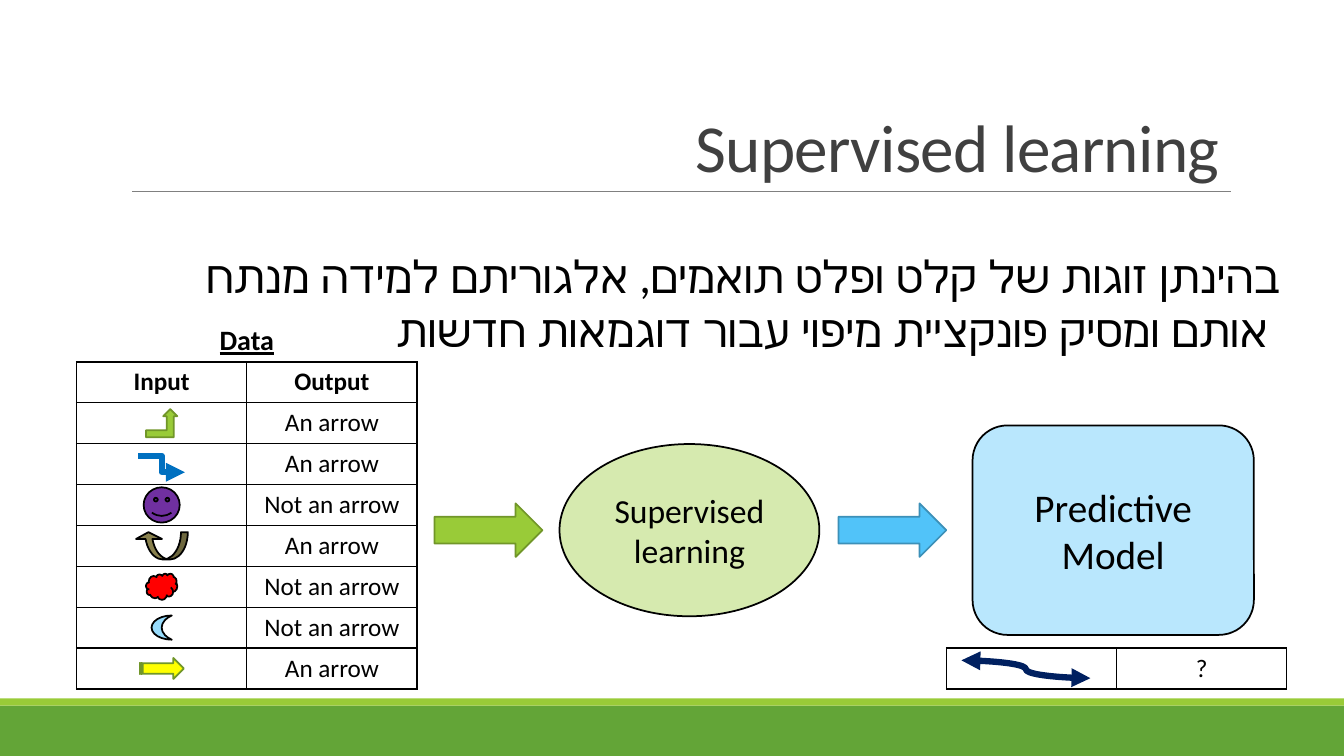
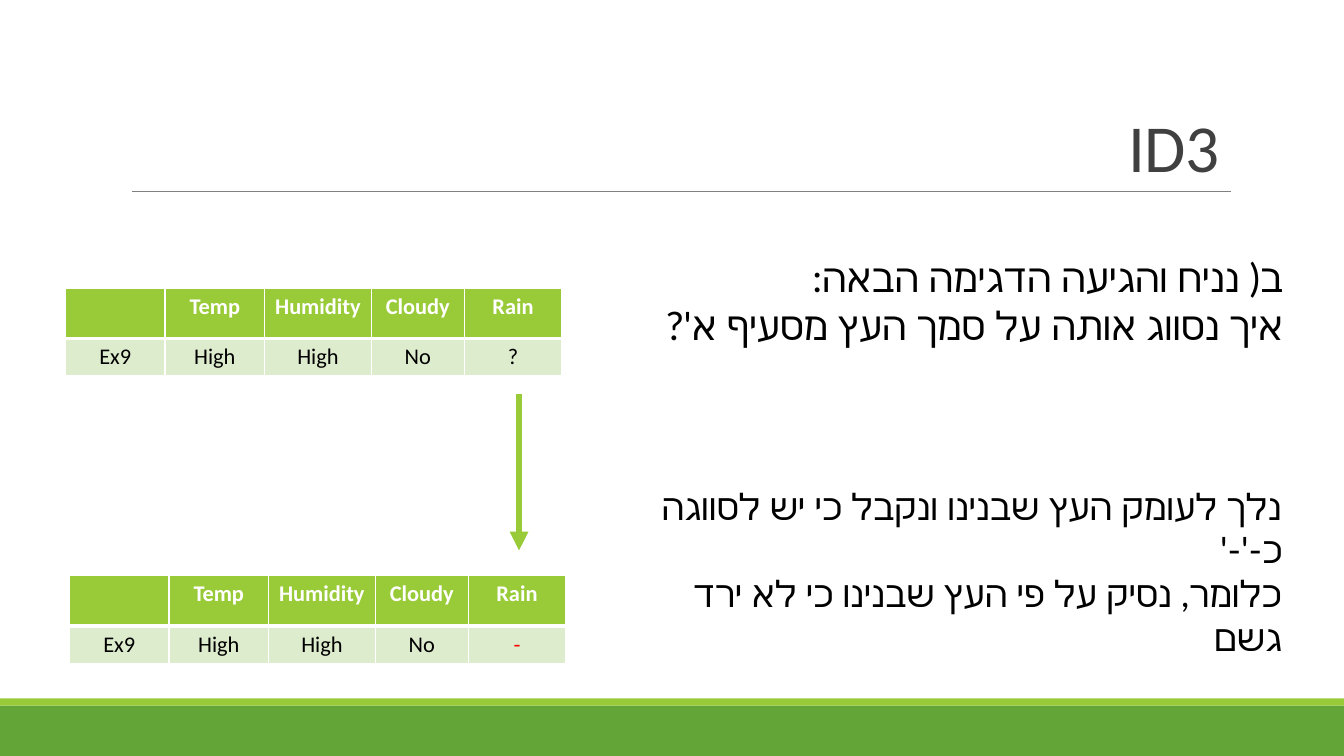
from dataclasses import dataclass
from lxml.etree import SubElement
from pptx import Presentation
from pptx.dml.color import RGBColor as Rgb
from pptx.enum.shapes import MSO_CONNECTOR as Link, MSO_SHAPE as Kind
from pptx.enum.text import MSO_ANCHOR as Anchor, MSO_AUTO_SIZE as Fit, PP_ALIGN as Align
from pptx.oxml.ns import qn
from pptx.util import Cm, Pt


@dataclass(frozen=True)
class Theme:
    black: str = "000000"
    white: str = "FFFFFF"
    title: str = "404040"
    rule: str = "808080"
    band: str = "63A537"
    lime: str = "99CB38"
    moss: str = "719629"
    pale: str = "D6EAAF"
    mint: str = "DEECCE"
    sky: str = "51C3F9"
    steel: str = "3C90B8"
    ice: str = "B9E7FD"
    moon: str = "97DBFB"
    blue: str = "0070C0"
    navy: str = "002060"
    plum: str = "7030A0"
    khaki: str = "89814E"
    red: str = "FF0000"
    gold: str = "FFFF00"
    main: str = "Calibri"
    body: str = "Lato"
    head: int = 48
    lead: int = 32
    ask: int = 28
    note: int = 26
    step: int = 24
    label: int = 20
    cell: int = 18
    small: int = 16
    thin: float = 1.25
    thick: float = 4.5


@dataclass(frozen=True)
class Box:
    x: float
    y: float
    w: float
    h: float

    def sub(self, dx, dy, w, h):
        return Box(self.x + dx, self.y + dy, w, h)

    def mid(self, w, h):
        return self.sub((self.w - w) / 2, (self.h - h) / 2, w, h)

    def dims(self):
        return [Cm(v) for v in (self.x, self.y, self.w, self.h)]


T = Theme()
WIDE, HIGH = 33.87, 19.05


def rgb(code):
    return Rgb.from_string(code)


def write(frame, text, size=T.cell, face=T.main, color=T.black, bold=False,
          under=False, align=Align.CENTER, rtl=False, lead=None, track=None,
          anchor=None):
    frame.word_wrap = True
    if anchor is not None:
        frame.vertical_anchor = anchor
    para = frame.paragraphs[0]
    para.alignment = align
    if lead:
        para.line_spacing = lead
    if rtl:
        para._p.get_or_add_pPr().set("rtl", "1")
    for i, line in enumerate(text.split("\n")):
        if i:
            para.add_line_break()
        run = para.add_run()
        run.text = line
        font = run.font
        font.size, font.bold, font.underline = Pt(size), bold, under
        font.color.rgb = rgb(color)
        font.name = face
        props = run._r.get_or_add_rPr()
        SubElement(props, qn("a:cs")).set("typeface", face)
        if track:
            props.set("spc", str(track))


def note(slide, box, text, **style):
    frame = slide.shapes.add_textbox(*box.dims()).text_frame
    write(frame, text, **style)
    frame.auto_size = Fit.SHAPE_TO_FIT_TEXT


def draw(slide, kind, box, fill, edge=None, text=None, **style):
    shape = slide.shapes.add_shape(kind, *box.dims())
    shape.shadow.inherit = False
    shape.fill.solid()
    shape.fill.fore_color.rgb = rgb(fill)
    if edge:
        shape.line.color.rgb = rgb(edge)
        shape.line.width = Pt(T.thin)
    else:
        shape.line.fill.background()
    if text:
        write(shape.text_frame, text, anchor=Anchor.MIDDLE, **style)
    return shape


def join(slide, kind, box, color, width=T.thick, tips=("tailEnd",)):
    ends = box.x, box.y, box.x + box.w, box.y + box.h
    line = slide.shapes.add_connector(kind, *[Cm(v) for v in ends])
    line.line.color.rgb = rgb(color)
    line.line.width = Pt(width)
    for tip in tips:
        SubElement(line.line._ln, qn("a:" + tip)).set("type", "triangle")
    SubElement(line.element.spPr, qn("a:effectLst"))
    return line


def edge(cell, color, **widths):
    props = cell._tc.get_or_add_tcPr()
    for side in "LRTB":
        line = SubElement(props, qn("a:ln" + side), w=str(Pt(widths.get(side, 1))))
        fill = SubElement(line, qn("a:solidFill"))
        SubElement(fill, qn("a:srgbClr")).set("val", color)


def grid(slide, x, y, cols, rows, head=True):
    box = Box(x, y, sum(cols), sum(rows))
    table = slide.shapes.add_table(len(rows), len(cols), *box.dims()).table
    table.first_row, table.horz_banding = head, False
    for col, w in zip(table.columns, cols):
        col.width = Cm(w)
    for row, h in zip(table.rows, rows):
        row.height = Cm(h)
    return table


def plain(slide, x, y, col, row, lines, head=True):
    table = grid(slide, x, y, [col] * 2, [row] * len(lines), head)
    for r, line in enumerate(lines):
        for c, text in enumerate(line):
            cell = table.cell(r, c)
            edge(cell, T.black)
            cell.fill.background()
            if text:
                write(cell.text_frame, text, bold=head and r == 0)


def case(slide, x, y, rain, tint):
    lines = (("", "Temp", "Humidity", "Cloudy", "Rain"),
             ("Ex9", "High", "High", "No", rain))
    table = grid(slide, x, y, (2.51, 2.51, 2.69, 2.34, 2.46), (1.27, 0.94))
    for r, line in enumerate(lines):
        for c, text in enumerate(line):
            cell = table.cell(r, c)
            edge(cell, T.white, **({"T": 3} if r else {"B": 3}))
            cell.fill.solid()
            cell.fill.fore_color.rgb = rgb(T.mint if r else T.lime)
            if text:
                ink = (tint if c == 4 else T.black) if r else T.white
                write(cell.text_frame, text, size=T.small, color=ink, bold=r == 0)


def dress(slide):
    parts = (
        draw(slide, Kind.RECTANGLE, Box(0, 17.78, WIDE, 1.27), T.band),
        draw(slide, Kind.RECTANGLE, Box(0, 17.6, WIDE, 0.18), T.lime),
        join(slide, Link.STRAIGHT, Box(3.33, 4.83, 27.68, 0), T.rule, 0.5, ()),
    )
    tree = slide.slide_layout.shapes.element
    for i, part in enumerate(parts):
        part.element.xpath(".//p:cNvPr")[0].set("id", str(20 + i))
        tree.insert(2 + i, part.element)


def page(deck, text):
    slide = deck.slides.add_slide(deck.slide_layouts[5])
    title = slide.shapes.title
    title.left, title.top, title.width, title.height = Box(3.05, 0.79, 27.94, 4.04).dims()
    write(title.text_frame, text, size=T.head, color=T.title, align=Align.RIGHT,
          rtl=True, lead=0.85, track=-50, anchor=Anchor.BOTTOM)
    title.text_frame.auto_size = Fit.NONE
    return slide


def data(slide, box):
    top, row, col = 1.12, 1.03, box.w / 2
    yes, no = "An arrow", "Not an arrow"
    icons = (
        (Kind.BENT_UP_ARROW, 0.79, 0.71, T.lime, T.moss, yes),
        (Link.ELBOW, 1.17, 0.41, T.blue, None, yes),
        (Kind.SMILEY_FACE, 0.91, 0.89, T.plum, T.black, no),
        (Kind.CURVED_UP_ARROW, 1.32, 0.69, T.khaki, T.black, yes),
        (Kind.CLOUD, 0.79, 0.66, T.red, T.black, no),
        (Kind.MOON, 0.51, 0.61, T.moon, T.black, no),
        (Kind.STRIPED_RIGHT_ARROW, 1.12, 0.53, T.gold, T.moss, yes),
    )
    note(slide, box.sub(0, 0, box.w, top), "Data", size=T.label, bold=True, under=True)
    lines = [("Input", "Output")] + [("", icon[-1]) for icon in icons]
    plain(slide, box.x, box.y + top, col, row, lines)
    for i, (kind, w, h, fill, rim, _) in enumerate(icons, 1):
        spot = box.sub(0, top + i * row, col, row).mid(w, h)
        if kind is Link.ELBOW:
            join(slide, kind, spot, fill)
            continue
        icon = draw(slide, kind, spot, fill, rim)
        if kind is Kind.CURVED_UP_ARROW:
            icon.adjustments[1] = 0.948
            icon.element.spPr.find(qn("a:xfrm")).set("flipH", "1")


def flow(slide, box):
    steps = (
        (Kind.RIGHT_ARROW, 0, 2.72, 1.35, T.lime, T.moss, None, T.step),
        (Kind.OVAL, 3.15, 6.55, 4.34, T.pale, T.black, "Supervised learning", T.step),
        (Kind.RIGHT_ARROW, 10.18, 2.72, 1.35, T.sky, T.steel, None, T.step),
        (Kind.ROUNDED_RECTANGLE, 13.56, 7.09, 5.28, T.ice, T.black, "Predictive Model", T.ask),
    )
    for kind, dx, w, h, fill, rim, text, size in steps:
        spot = box.sub(dx, (box.h - h) / 2, w, h)
        draw(slide, kind, spot, fill, rim, text, size=size)


def query(slide, box):
    plain(slide, box.x, box.y, box.w / 2, box.h, [("", "?")], head=False)
    join(slide, Link.CURVE, box.sub(0.38, 0.31, 3.25, 0.45), T.navy,
         tips=("headEnd", "tailEnd"))


def learn(deck):
    slide = page(deck, "Supervised learning")
    dress(slide)
    note(slide, Box(4.11, 6.15, 28.42, 3),
         "בהינתן זוגות של קלט ופלט תואמים, אלגוריתם למידה מנתח אותם ומסיק פונקציית מיפוי עבור דוגמאות חדשות ",
         size=T.lead, face=T.body, align=Align.RIGHT)
    data(slide, Box(1.93, 8, 8.58, 9.36))
    flow(slide, Box(10.95, 10.72, 20.65, 5.28))
    query(slide, Box(23.85, 16.33, 8.58, 1.03))


def tree(deck):
    slide = page(deck, "ID3")
    case(slide, 1.65, 7.26, "?", T.black)
    case(slide, 1.75, 14.5, "-", T.red)
    join(slide, Link.STRAIGHT, Box(13.08, 9.93, 0, 3.94), T.lime)
    style = dict(face=T.body, align=Align.RIGHT, rtl=True)
    note(slide, Box(15.65, 6.27, 16.94, 2.64),
         "ב( נניח והגיעה הדגימה הבאה:\nאיך נסווג אותה על סמך העץ מסעיף א'?",
         size=T.ask, **style)
    note(slide, Box(15.62, 12.07, 16.94, 2.49),
         "נלך לעומק העץ שבנינו ונקבל כי יש לסווגה כ-'-'\nכלומר, נסיק על פי העץ שבנינו כי לא ירד גשם",
         size=T.note, **style)


def main():
    deck = Presentation()
    deck.slide_width, deck.slide_height = Cm(WIDE), Cm(HIGH)
    learn(deck)
    tree(deck)
    deck.save("out.pptx")


if __name__ == "__main__":
    main()
